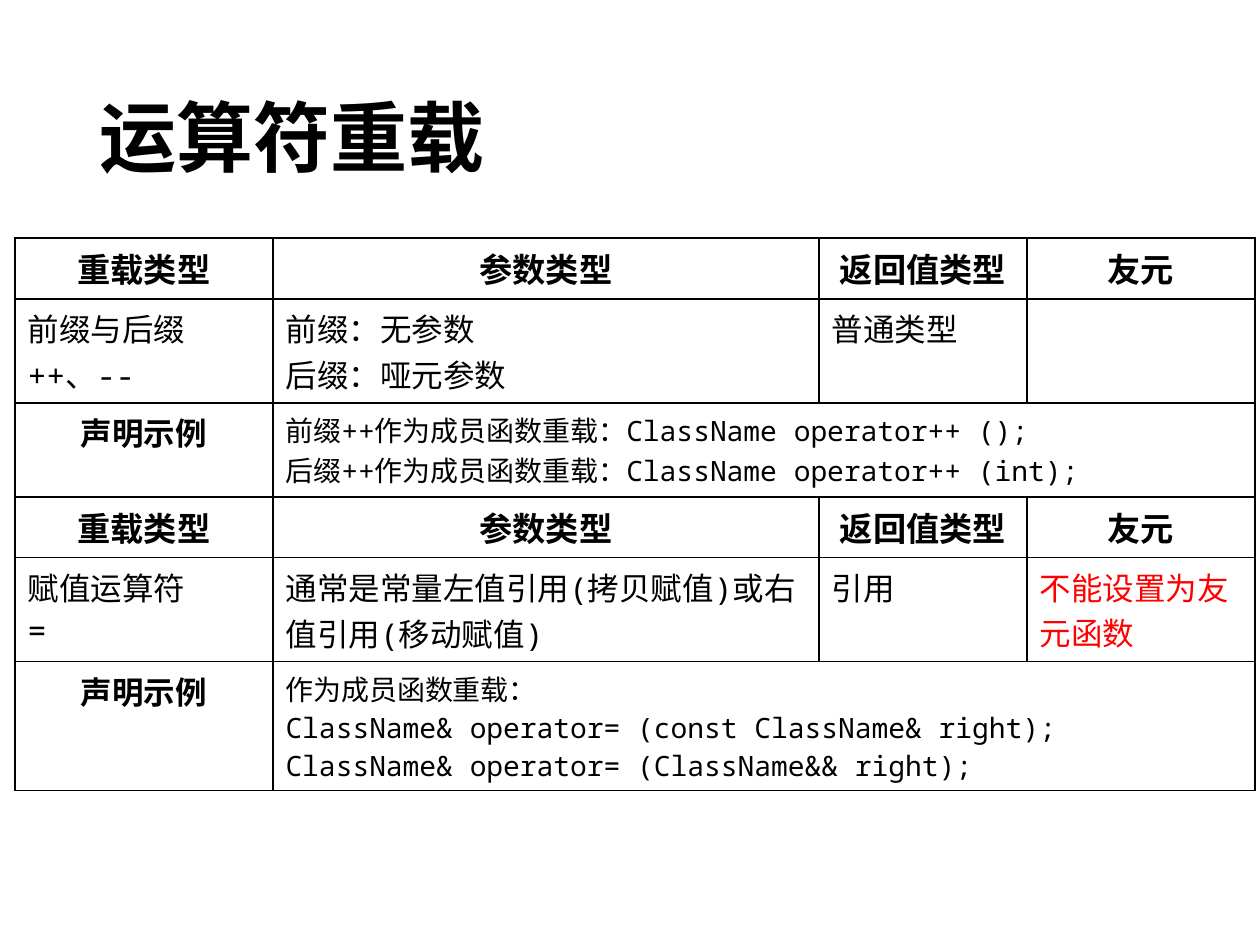
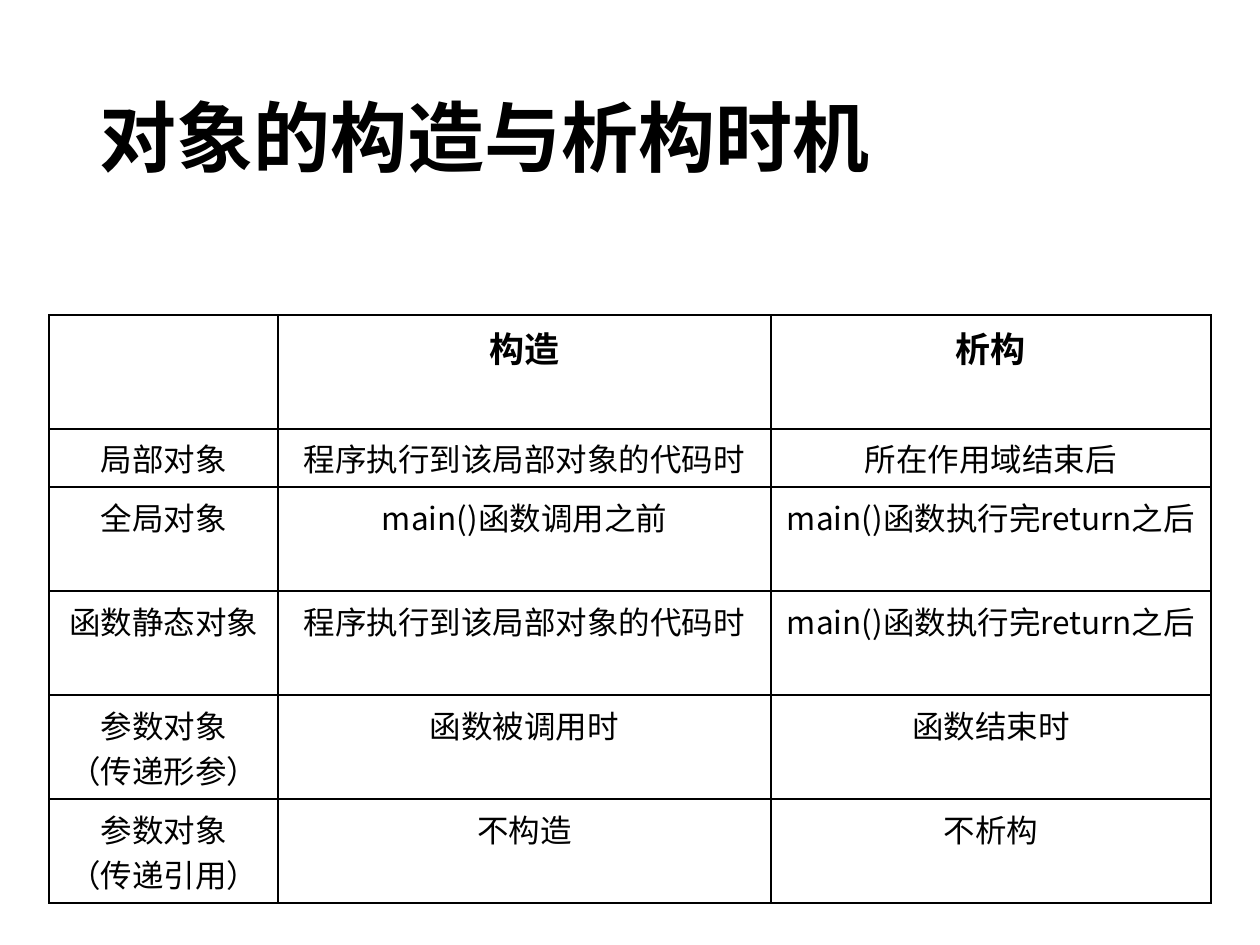
"""Builds two slides of tables on operator overloading and object lifetime."""
from lxml import etree
from pptx import Presentation
from pptx import util as u
from pptx.dml.color import RGBColor
from pptx.enum import text
from pptx.oxml.ns import qn

BLACK = RGBColor(0, 0, 0)
RED = RGBColor(255, 0, 0)
SANS, MONO, HEAD = "Noto Sans CJK SC", "Noto Sans Mono", "Calibri"
MID, LEFT = text.PP_ALIGN.CENTER, text.PP_ALIGN.LEFT
PX = 914400 / 126

STYLES = {
    "head": (19, HEAD, True, MID, BLACK),
    "label": (18, HEAD, True, MID, BLACK),
    "body": (18, MONO, False, LEFT, BLACK),
    "warn": (18, MONO, False, LEFT, RED),
    "code": (16, MONO, False, LEFT, BLACK),
    "top": (20, SANS, True, MID, BLACK),
    "mid": (18, SANS, False, MID, BLACK),
}

HEADS = [("head", word) for word in ("重载类型", "参数类型", "返回值类型", "友元")]
LOCAL = "程序执行到该局部对象的代码时"
AFTER = "main()函数执行完return之后"


def plain(style, *words):
    return [(style, word) for word in words]


SLIDES = [
    {
        "title": "运算符重载",
        "at": (15, 238),
        "cols": (258, 546, 208, 228),
        "rows": [
            (60, HEADS),
            (104, plain("body", "前缀与后缀\n++、--", "前缀：无参数\n后缀：哑元参数", "普通类型", "")),
            (94, [("label", "声明示例"),
                  ("code", "前缀++作为成员函数重载：ClassName operator++ ();\n"
                           "后缀++作为成员函数重载：ClassName operator++ (int);")]),
            (60, HEADS),
            (104, plain("body", "赋值运算符\n=", "通常是常量左值引用(拷贝赋值)或右值引用(移动赋值)", "引用")
                  + [("warn", "不能设置为友元函数")]),
            (129, [("label", "声明示例"),
                   ("code", "作为成员函数重载：\n"
                            "ClassName& operator= (const ClassName& right);\n"
                            "ClassName& operator= (ClassName&& right);")]),
        ],
    },
    {
        "title": "对象的构造与析构时机",
        "at": (49, 315),
        "cols": (229, 493, 440),
        "rows": [
            (114, plain("top", "", "构造", "析构")),
            (58, plain("mid", "局部对象", LOCAL, "所在作用域结束后")),
            (104, plain("mid", "全局对象", "main()函数调用之前", AFTER)),
            (104, plain("mid", "函数静态对象", LOCAL, AFTER)),
            (104, plain("mid", "参数对象\n（传递形参）", "函数被调用时", "函数结束时")),
            (104, plain("mid", "参数对象\n（传递引用）", "不构造", "不析构")),
        ],
    },
]


def px(num):
    return u.Emu(round(num * PX))


def write(para, words, size, font, bold, align, color):
    para.alignment = align
    run = para.add_run()
    run.text = words
    run.font.size, run.font.bold, run.font.name = u.Pt(size), bold, font
    run.font.color.rgb = color
    east = etree.SubElement(run._r.get_or_add_rPr(), qn("a:ea"))
    east.set("typeface", SANS)


def frame(cell):
    props = cell._tc.get_or_add_tcPr()
    for side in "LRTB":
        line = etree.SubElement(props, qn("a:ln" + side), w=str(u.Pt(1)))
        fill = etree.SubElement(line, qn("a:solidFill"))
        etree.SubElement(fill, qn("a:srgbClr"), val=str(BLACK))
    cell.fill.background()


def add_title(slide, words):
    title = slide.shapes.title
    title.left, title.top, title.width, title.height = map(px, (87, 50, 1086, 183))
    title.text_frame.vertical_anchor = text.MSO_ANCHOR.MIDDLE
    para = title.text_frame.paragraphs[0]
    para.line_spacing = 0.9
    write(para, words, 44, SANS, True, LEFT, BLACK)


def add_grid(slide, at, cols, rows):
    high = sum(row[0] for row in rows)
    box = slide.shapes.add_table(len(rows), len(cols), *map(px, (*at, sum(cols), high)))
    grid = box.table
    grid.first_row = grid.horz_banding = False
    for col, wide in zip(grid.columns, cols):
        col.width = px(wide)
    for r, (tall, cells) in enumerate(rows):
        grid.rows[r].height = px(tall)
        for c in range(len(cols)):
            frame(grid.cell(r, c))
        if len(cells) < len(cols):
            grid.cell(r, len(cells) - 1).merge(grid.cell(r, len(cols) - 1))
        for c, (style, words) in enumerate(cells):
            body = grid.cell(r, c).text_frame
            for n, line in enumerate(words.split("\n") if words else []):
                para = body.add_paragraph() if n else body.paragraphs[0]
                write(para, line, *STYLES[style])


def main():
    deck = Presentation()
    deck.slide_width, deck.slide_height = px(1260), px(945)
    for page in SLIDES:
        slide = deck.slides.add_slide(deck.slide_layouts[5])
        add_title(slide, page["title"])
        add_grid(slide, page["at"], page["cols"], page["rows"])
    deck.save("out.pptx")


if __name__ == "__main__":
    main()
